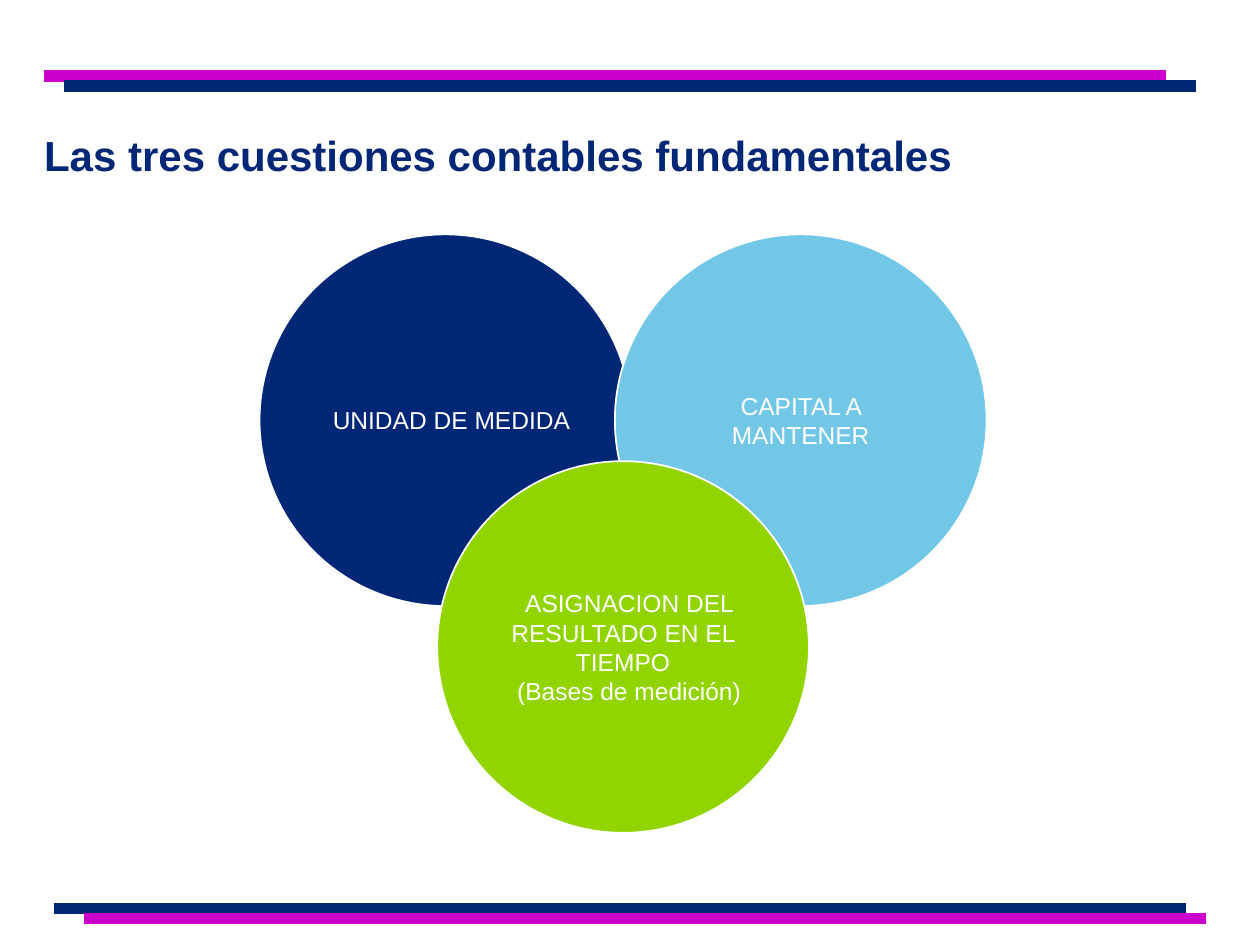
from dataclasses import dataclass

from lxml import etree
from pptx import Presentation
from pptx.dml.color import RGBColor
from pptx.enum.shapes import MSO_CONNECTOR, MSO_SHAPE
from pptx.enum.text import MSO_ANCHOR, PP_ALIGN
from pptx.oxml.ns import qn
from pptx.slide import Slide
from pptx.util import Inches, Length, Pt

OVAL = MSO_SHAPE.OVAL
LINE = MSO_CONNECTOR.STRAIGHT
MIDDLE, TOP = MSO_ANCHOR.MIDDLE, MSO_ANCHOR.TOP
CENTER, LEFT = PP_ALIGN.CENTER, PP_ALIGN.LEFT

COLORS = {
    "navy": "002776",
    "bar": "002673",
    "pink": "CC00CC",
    "sky": "72C7E7",
    "green": "92D400",
    "white": "FFFFFF",
}
FONT = "Arial"

# The slide is a grid of 100 columns by 75 rows
CELL = 0.1
SIZE = 29.5
STEP = 14.1
FIRST = 20.6
HIGH, LOW = 18.6, 36.6


@dataclass
class Circle:
    step: int
    row: float
    color: str
    lines: list[str]
    bullet: bool = True


@dataclass
class Bar:
    start: float
    end: float
    row: float
    color: str


CIRCLES = [
    Circle(0, HIGH, "navy", ["UNIDAD DE MEDIDA"]),
    Circle(2, HIGH, "sky", ["CAPITAL A MANTENER"], bullet=False),
    Circle(1, LOW, "green",
           ["ASIGNACION DEL RESULTADO EN EL TIEMPO", "(Bases de medición)"]),
]

BARS = [
    Bar(4.3, 94.1, 72.1, "bar"),
    Bar(6.7, 95.7, 72.9, "pink"),
    Bar(3.5, 92.5, 6, "pink"),
    Bar(5.1, 94.9, 6.8, "bar"),
]


def cells(count: float) -> Length:
    return Inches(count * CELL)


def rgb(name: str) -> RGBColor:
    return RGBColor.from_string(COLORS[name])


def apply(target, values: dict) -> None:
    for name, value in values.items():
        setattr(target, name, value)


def add_bullet(para) -> None:
    """Give the paragraph a blank bullet, which nudges its first line."""
    props = para._p.get_or_add_pPr()
    tint = etree.SubElement(props, qn("a:buClr"))
    etree.SubElement(tint, qn("a:srgbClr"), val=COLORS["white"])
    etree.SubElement(props, qn("a:buChar"), char=" ")


def write(frame, lines: list[str], size: float, color: str, align,
          bold: bool = False, bullet: bool = False) -> None:
    for index, line in enumerate(lines):
        para = frame.add_paragraph() if index else frame.paragraphs[0]
        para.text = line
        para.alignment = align
        if bullet:
            add_bullet(para)
        font = para.runs[0].font
        apply(font, {"name": FONT, "size": Pt(size), "bold": bold})
        font.color.rgb = rgb(color)


def add_title(slide: Slide, text: str) -> None:
    box = slide.shapes.add_textbox(
        cells(3.5), cells(9.9), cells(92.1), cells(6.9))
    frame = box.text_frame
    apply(frame, {"word_wrap": True, "vertical_anchor": TOP,
                  "margin_left": 0, "margin_right": 0,
                  "margin_top": cells(0.4), "margin_bottom": 0})
    write(frame, [text], 24, "navy", LEFT, bold=True)


def add_circle(slide: Slide, item: Circle) -> None:
    shape = slide.shapes.add_shape(
        OVAL, cells(FIRST + item.step * STEP), cells(item.row),
        cells(SIZE), cells(SIZE))
    shape.shadow.inherit = False
    shape.fill.solid()
    shape.fill.fore_color.rgb = rgb(item.color)
    shape.line.color.rgb = rgb("white")
    shape.line.width = Pt(1)
    frame = shape.text_frame
    pad = cells(0.4)
    apply(frame, {"word_wrap": True, "vertical_anchor": MIDDLE,
                  "margin_left": pad, "margin_right": pad,
                  "margin_top": pad, "margin_bottom": pad})
    write(frame, item.lines, 14, "white", CENTER, bullet=item.bullet)


def add_bar(slide: Slide, bar: Bar) -> None:
    line = slide.shapes.add_connector(
        LINE, cells(bar.start), cells(bar.row),
        cells(bar.end), cells(bar.row))
    line.line.color.rgb = rgb(bar.color)
    line.line.width = Pt(6.75)
    etree.SubElement(line._element.spPr, qn("a:effectLst"))


def main() -> None:
    deck = Presentation()
    apply(deck, {"slide_width": cells(100), "slide_height": cells(75)})
    slide = deck.slides.add_slide(deck.slide_layouts[6])
    for bar in BARS:
        add_bar(slide, bar)
    add_title(slide, "Las tres cuestiones contables fundamentales")
    for item in CIRCLES:
        add_circle(slide, item)
    deck.save("out.pptx")


if __name__ == "__main__":
    main()
